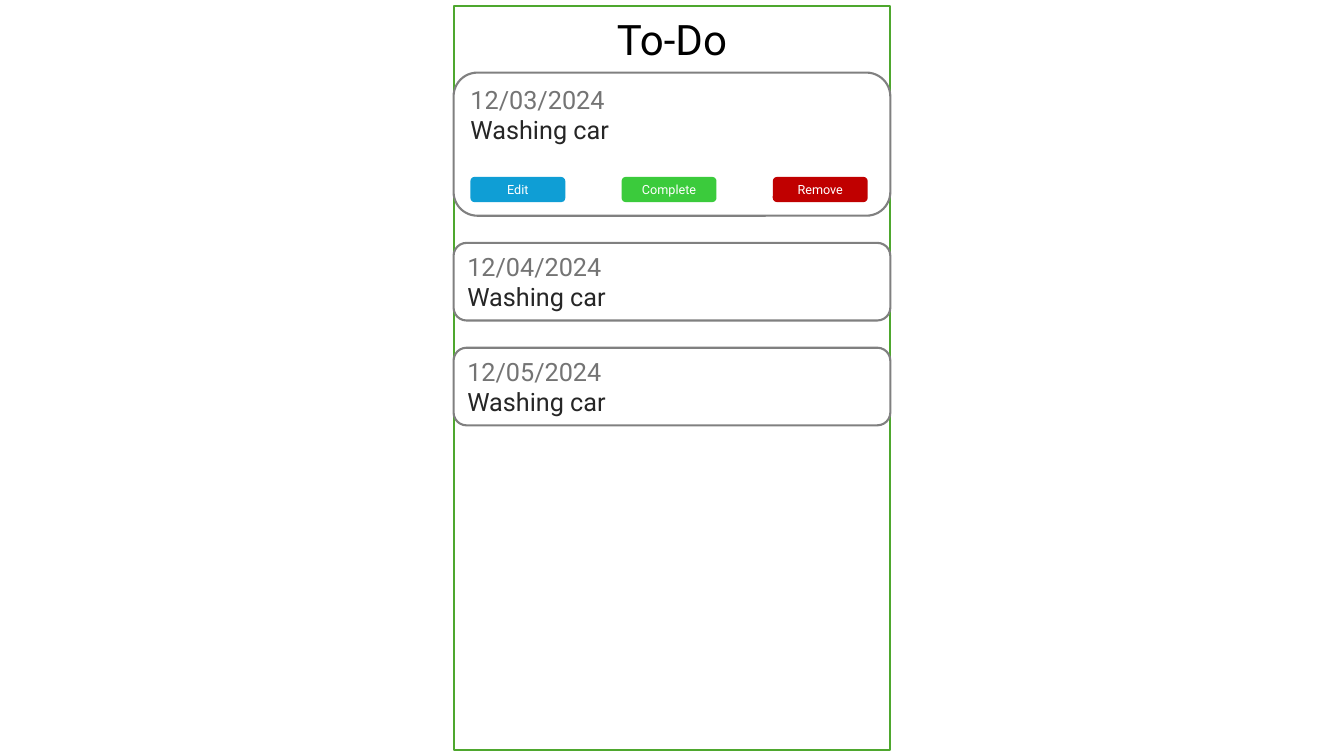
import dataclasses
import typing

import pptx
import pptx.dml.color
import pptx.enum.shapes
import pptx.enum.text
import pptx.util

RGBColor = pptx.dml.color.RGBColor
Preset = pptx.enum.shapes.MSO_SHAPE
Anchor = pptx.enum.text.MSO_ANCHOR
Align = pptx.enum.text.PP_ALIGN

WHITE = RGBColor(0xFF, 0xFF, 0xFF)
BLACK = RGBColor(0x00, 0x00, 0x00)
FRAME_GREEN = RGBColor(0x4E, 0xA7, 0x2E)
CARD_GRAY = RGBColor(0x80, 0x80, 0x80)
DATE_GRAY = RGBColor(0x74, 0x74, 0x74)
TASK_DARK = RGBColor(0x26, 0x26, 0x26)
EDIT_BLUE = RGBColor(0x0F, 0x9E, 0xD5)
COMPLETE_GREEN = RGBColor(0x3B, 0xCB, 0x3C)
REMOVE_RED = RGBColor(0xC0, 0x00, 0x00)

SLIDE_WIDTH = pptx.util.Inches(13.33)
SLIDE_HEIGHT = pptx.util.Inches(7.5)
COLUMN = SLIDE_WIDTH / 80
ROW = SLIDE_HEIGHT / 75
PHONE_COLUMN = 27
PHONE_COLUMNS = 26
BUTTON_PITCH = 9


@dataclasses.dataclass(frozen=True)
class Area:
    column: float
    row: float
    columns: float
    rows: float

    def lengths(self) -> tuple[int, ...]:
        return (
            round(self.column * COLUMN),
            round(self.row * ROW),
            round(self.columns * COLUMN),
            round(self.rows * ROW),
        )


@dataclasses.dataclass(frozen=True)
class Button:
    label: str
    color: RGBColor


@dataclasses.dataclass(frozen=True)
class Card:
    date: str
    task: str
    row: float
    rows: float
    buttons: tuple[Button, ...] = ()


BUTTONS = (
    Button("Edit", EDIT_BLUE),
    Button("Complete", COMPLETE_GREEN),
    Button("Remove", REMOVE_RED),
)
CARDS = (
    Card("12/04/2024", "Washing car", 24.1, 7.7),
    Card("12/05/2024", "Washing car", 34.5, 7.7),
    Card("12/03/2024", "Washing car", 7.2, 14.2, BUTTONS),
)


def add_text(
    paragraph: typing.Any,
    text: str,
    *,
    size: float,
    color: RGBColor,
    align: Align = Align.LEFT,
) -> None:
    paragraph.alignment = align
    run = paragraph.add_run()
    run.text = text
    run.font.name = "Roboto"
    run.font.size = pptx.util.Pt(size)
    run.font.color.rgb = color


def add_box(
    shapes: typing.Any,
    preset: Preset,
    area: Area,
    fill: RGBColor,
    line: RGBColor | None = None,
) -> typing.Any:
    shape = shapes.add_shape(preset, *area.lengths())
    shape.shadow.inherit = False
    shape.fill.solid()
    shape.fill.fore_color.rgb = fill
    if line is None:
        shape.line.fill.background()
    else:
        shape.line.color.rgb = line
        shape.line.width = pptx.util.Pt(1.5)
    return shape


def add_button(shapes: typing.Any, button: Button, column: float) -> None:
    area = Area(column, 17.55, 5.65, 2.5)
    shape = add_box(shapes, Preset.ROUNDED_RECTANGLE, area, button.color)
    frame = shape.text_frame
    frame.vertical_anchor = Anchor.MIDDLE
    add_text(frame.paragraphs[0], button.label, size=9, color=WHITE, align=Align.CENTER)


def add_card(slide_shapes: typing.Any, card: Card) -> None:
    shapes = slide_shapes.add_group_shape().shapes if card.buttons else slide_shapes
    area = Area(PHONE_COLUMN, card.row, PHONE_COLUMNS, card.rows)
    shape = add_box(shapes, Preset.ROUNDED_RECTANGLE, area, WHITE, CARD_GRAY)
    frame = shape.text_frame
    frame.vertical_anchor = Anchor.TOP if card.buttons else Anchor.MIDDLE
    add_text(frame.paragraphs[0], card.date, size=18, color=DATE_GRAY)
    add_text(frame.add_paragraph(), card.task, size=18, color=TASK_DARK)
    for index, button in enumerate(card.buttons):
        add_button(shapes, button, PHONE_COLUMN + 1 + index * BUTTON_PITCH)


def add_title(shapes: typing.Any) -> None:
    title = shapes.add_textbox(*Area(34, 0.85, 12, 6.1).lengths())
    title.text_frame.word_wrap = True
    add_text(
        title.text_frame.paragraphs[0],
        "To-Do",
        size=30,
        color=BLACK,
        align=Align.CENTER,
    )


def main() -> None:
    presentation = pptx.Presentation()
    presentation.slide_width = SLIDE_WIDTH
    presentation.slide_height = SLIDE_HEIGHT
    slide = presentation.slides.add_slide(presentation.slide_layouts[6])
    phone = Area(PHONE_COLUMN, 0.6, PHONE_COLUMNS, 73.8)
    add_box(slide.shapes, Preset.RECTANGLE, phone, WHITE, FRAME_GREEN)
    add_title(slide.shapes)
    for card in CARDS:
        add_card(slide.shapes, card)
    presentation.save("out.pptx")


if __name__ == "__main__":
    main()
